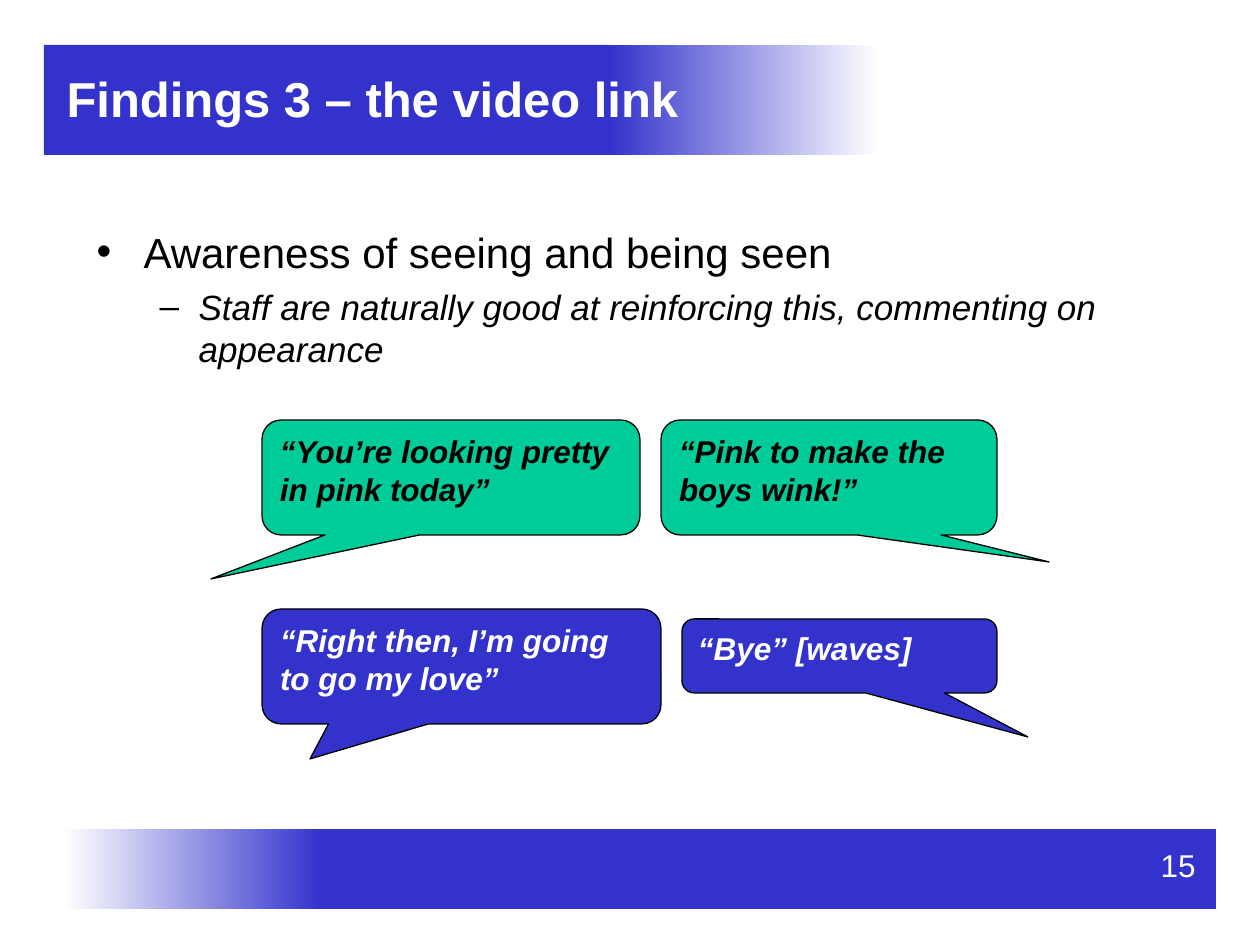
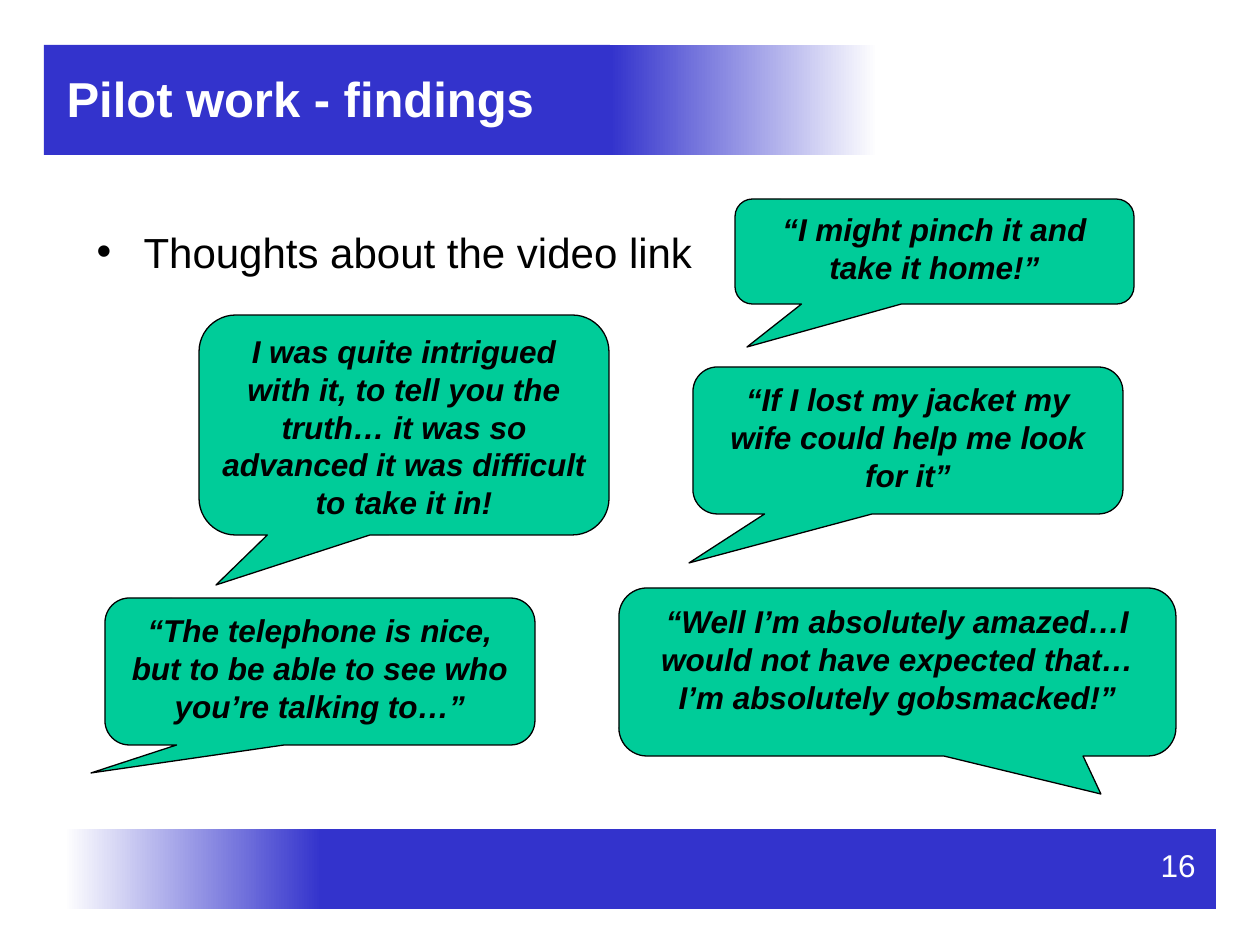
import pptx
import pptx.dml.color
import pptx.enum.shapes
import pptx.enum.text
import pptx.util

PX_PER_INCH = 126
FONT = "Arial"
COLOURS = {"blue": "3333CC", "green": "00CC99", "white": "FFFFFF", "black": "000000"}
SHAPES = pptx.enum.shapes.MSO_SHAPE
ALIGN = pptx.enum.text.PP_ALIGN
ANCHOR = pptx.enum.text.MSO_ANCHOR
NO_FIT = pptx.enum.text.MSO_AUTO_SIZE.NONE

# size, italic, left margin, first-line indent, space before
LIST_LEVELS = [(24, False, 47, -47, 6), (20, True, 102, -39, 5)]


def px(length):
    return pptx.util.Emu(round(length * 914400 / PX_PER_INCH))


def colour(name):
    return pptx.dml.color.RGBColor.from_string(COLOURS[name])


def place(box, left, top, width, height):
    box.left, box.top, box.width, box.height = map(px, (left, top, width, height))


def add_span(para, text, size, tint, bold=False, italic=False):
    span = para.add_run()
    span.text = text
    font = span.font
    font.name, font.size = FONT, pptx.util.Pt(size)
    font.bold, font.italic = bold, italic
    font.color.rgb = colour(tint)


def add_band(page, area, *tints):
    """One tint gives a plain band, two give a fade from left to right."""
    band = page.shapes.add_shape(SHAPES.RECTANGLE, *map(px, area))
    band.shadow.inherit = False
    band.line.fill.background()
    if len(tints) == 1:
        band.fill.solid()
        band.fill.fore_color.rgb = colour(tints[0])
    else:
        band.fill.gradient()
        band.fill.gradient_angle = 0
        for stop, tint in zip(band.fill.gradient_stops, tints):
            stop.color.rgb = colour(tint)
    return band


def add_layout_bands(layout, page):
    """Draw the bands on a page, then move them behind everything on its layout."""
    bands = [
        add_band(page, (44, 45, 566, 110), "blue"),
        add_band(page, (610, 45, 268, 110), "blue", "white"),
        add_band(page, (322, 829, 894, 80), "blue"),
        add_band(page, (64, 829, 258, 80), "white", "blue"),
    ]
    for index, band in enumerate(bands):
        band.element.xpath(".//p:cNvPr")[0].set("id", str(100 + index))
        layout.shapes.element.insert(2 + index, band.element)


def set_title(page, text):
    title = page.shapes.title
    place(title, 54, 45, 882, 105)
    frame = title.text_frame
    frame.auto_size = NO_FIT
    frame.vertical_anchor = ANCHOR.MIDDLE
    para = frame.paragraphs[0]
    para.alignment = ALIGN.LEFT
    add_span(para, text, 28, "white", bold=True)


def set_list(page, items):
    """Fill the body placeholder; an item's position is its list level."""
    body = page.placeholders[1]
    place(body, 84, 220, 1092, 609)
    frame = body.text_frame
    frame.auto_size = NO_FIT
    for level, text in enumerate(items):
        size, italic, margin, indent, space = LIST_LEVELS[level]
        para = frame.add_paragraph() if level else frame.paragraphs[0]
        para.level = level
        para.space_before = pptx.util.Pt(space)
        properties = para._p.get_or_add_pPr()
        properties.set("marL", str(px(margin)))
        properties.set("indent", str(px(indent)))
        add_span(para, text, size, "black", italic=italic)


def add_page_number(page, number):
    box = page.shapes.add_textbox(*map(px, (1124, 840, 84, 50)))
    box.text_frame.word_wrap = True
    para = box.text_frame.paragraphs[0]
    para.alignment = ALIGN.RIGHT
    add_span(para, str(number), 18, "white")


def add_quote(page, text, area, tip, align, fill="green", tint="black"):
    """Add a speech bubble whose tail ends at the point tip."""
    left, top, width, height = area
    bubble = page.shapes.add_shape(SHAPES.ROUNDED_RECTANGULAR_CALLOUT, *map(px, area))
    bubble.adjustments[0] = (tip[0] - left) / width - 0.5
    bubble.adjustments[1] = (tip[1] - top) / height - 0.5
    bubble.shadow.inherit = False
    bubble.fill.solid()
    bubble.fill.fore_color.rgb = colour(fill)
    bubble.line.color.rgb = colour("black")
    bubble.line.width = pptx.util.Pt(0.75)
    frame = bubble.text_frame
    frame.word_wrap = True
    frame.vertical_anchor = ANCHOR.TOP
    para = frame.paragraphs[0]
    para.alignment = align
    add_span(para, text, 18, tint, bold=True, italic=True)


def add_page(deck, layout, number, title, items):
    page = deck.slides.add_slide(layout)
    set_title(page, title)
    set_list(page, items)
    add_page_number(page, number)
    return page


def main():
    deck = pptx.Presentation()
    deck.slide_width, deck.slide_height = px(1260), px(945)
    layout = deck.slide_layouts[1]

    video = add_page(deck, layout, 15, "Findings 3 – the video link", [
        "Awareness of seeing and being seen",
        "Staff are naturally good at reinforcing this, commenting on appearance",
    ])
    add_layout_bands(layout, video)
    for text, area, tip, *tints in [
        ("“You’re looking pretty in pink today”", (262, 420, 378, 115), (211, 579)),
        ("“Pink to make the boys wink!”", (661, 420, 336, 115), (1049, 562)),
        ("“Right then, I’m going to go my love”", (262, 609, 399, 115), (310, 759),
         "blue", "white"),
        ("“Bye” [waves]", (682, 619, 315, 74), (1028, 737), "blue", "white"),
    ]:
        add_quote(video, text, area, tip, ALIGN.LEFT, *tints)

    pilot = add_page(deck, layout, 16, "Pilot work - findings",
                     ["Thoughts about the video link"])
    for text, area, tip in [
        ("I was quite intrigued with it, to tell you the truth… it was so advanced "
         "it was difficult to take it in!", (199, 315, 410, 220), (216, 585)),
        ("“I might pinch it and take it home!”", (735, 199, 399, 105), (747, 347)),
        ("“Well I’m absolutely amazed…I would not have expected that… "
         "I’m absolutely gobsmacked!”", (619, 588, 557, 168), (1101, 794)),
        ("“The telephone is nice, but to be able to see who you’re talking to…”",
         (105, 598, 430, 147), (91, 773)),
        ("“If I lost my jacket my wife could help me look for it”",
         (693, 367, 430, 147), (689, 563)),
    ]:
        add_quote(pilot, text, area, tip, ALIGN.CENTER)

    deck.save("out.pptx")


if __name__ == "__main__":
    main()
